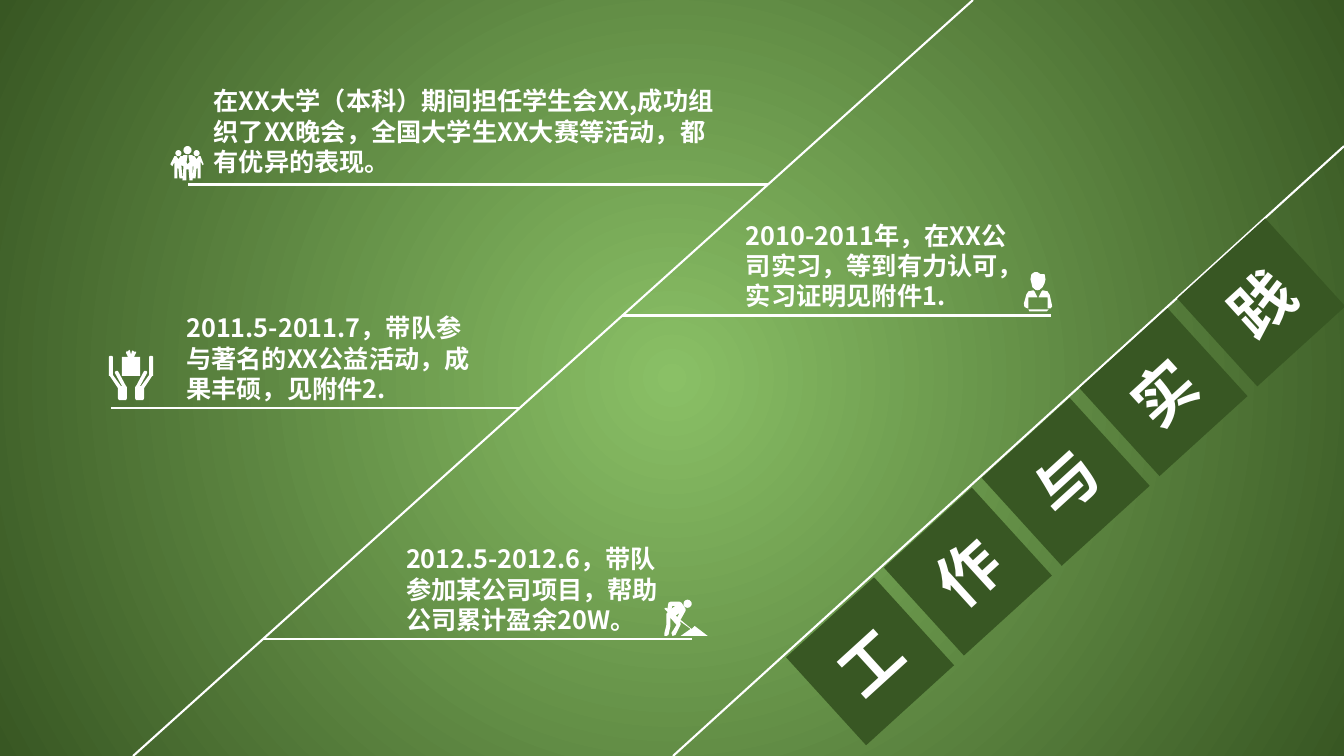
import math
import pptx
import pptx.util
import pptx.dml.color
import pptx.enum.shapes
import pptx.enum.text
import pptx.oxml.ns
from lxml import etree

W, H = 13.33, 7.5
FONT = "Noto Sans CJK SC"
WHITE, LEAF, FOREST = "FFFFFF", "8AC066", "385723"
AXIS_FOOT, AXIS_TOP = 1.32, 9.65
UNIT = 0.01
FINE = 10


def inch(value):
    return pptx.util.Inches(value)


def color(value):
    return pptx.dml.color.RGBColor.from_string(value)


def points(text):
    return [tuple(float(n) for n in pair.split(",")) for pair in text.split()]


def circle(cx, cy, r, steps=24):
    angles = [2 * math.pi * i / steps for i in range(steps)]
    return [(cx + r * math.cos(a), cy + r * math.sin(a)) for a in angles]


PEOPLE = [
    circle(17, 4, 4), circle(26, 7, 3), circle(8, 7, 3),
    points("11,19 11,20 12,32 9,32 8,22 7,22 7,32 4,32 4,16 2,20 0,18 4,10 6,10 8,13 "
           "10,10 12,10 13,9 17,9 17,10 16,16 17,18 19,16 18,10 18,9 22,9 22,10 24,10 "
           "26,13 28,10 30,10 33,18 32,19 30,15 30,32 27,32 27,22 26,22 25,32 22,32 "
           "23,20 22,20 22,34 19,34 18,23 16,23 16,34 12,34 13,20"),
]
INTERN = [
    points("8,13 7,9 8,4 11,2 14,2 17,4 21,4 22,9 21,13 19,17 16,19.5 14,20 12,19.5 9,17"),
    points("5,39 25,39 23,41 6,41"),
    points("26,24 28,33 28.5,36 27,38 24,38 24,27 15,27 18,21 19,20 24,21 25,23"),
    points("5,38 4,38 1,36.5 0.5,33 3,24 5,21 10,20 11,21 14,27 5,27"),
]
HAND = points("17,36 9,21 7,21 6,22 6,23 13,36 12,36 4,25 4,7 3,6 1,6 0,7 0,26 1,26 "
              "9,38 9,48 10,50 17,50 18,48 18,37")
GIFT = [
    points("25,7 27,3 27,2 25,2 24,5 25,2 24,1 23,1 22,5 21,1 20,0 19,2 20,4 19,2 18,1 "
           "17,3 19,7 13,7 13,26 31,26 31,7"),
    HAND,
    [(44 - x, y) for x, y in HAND],
]
DIGGER = [
    circle(24, 4, 4),
    points("7,2 5,3 4,9 3,8 2,8 1,9 2,10 3,11 4,12 4,13 3,14 3,25 1,33 1,36 3,36 5,35 "
           "7,26 7,18 13,25 8,33 9,36 12,35 17,25 17,23 16,21 27,29 17,36 44,36 31,26 "
           "28,29 17,20 22,11 22,9 18,3 16,2"),
    points("9,6 12,6 8,9"),
    points("16,13 14,17 12,16"),
]

ENTRIES = [
    (PEOPLE, (1.69, 1.45), (2.02, 0.8, 5.21), 1.86, 1.83,
     "在XX大学（本科）期间担任学生会XX,成功组织了XX晚会，全国大学生XX大赛等活动，都有优异的表现。"),
    (INTERN, (10.15, 2.68), (7.3, 2.13, 2.9), 10.42, 3.13,
     "2010-2011年，在XX公司实习，等到有力认可，实习证明见附件1."),
    (GIFT, (1.08, 3.47), (1.75, 3.05, 3.16), 1.1, 4.05,
     "2011.5-2011.7，带队参与著名的XX公益活动，成果丰硕，见附件2."),
    (DIGGER, (6.58, 5.95), (3.93, 5.34, 2.74), 6.86, 6.34,
     "2012.5-2012.6，带队参加某公司项目，帮助公司累计盈余20W。"),
]


def paint_background(s):
    fill = s.background.fill
    fill.gradient()
    for stop, position, value in zip(fill.gradient_stops, (0, 1), (LEAF, FOREST)):
        stop.position = position
        stop.color.rgb = color(value)
    qn = pptx.oxml.ns.qn
    grad = s.element.find(".//" + qn("a:gradFill"))
    grad.remove(grad.find(qn("a:lin")))
    shade = etree.SubElement(grad, qn("a:path"), path="circle")
    etree.SubElement(shade, qn("a:fillToRect"), l="50000", t="50000", r="50000", b="50000")


def add_line(s, x1, y1, x2, y2):
    line = s.shapes.add_connector(pptx.enum.shapes.MSO_CONNECTOR.STRAIGHT,
                                  inch(x1), inch(y1), inch(x2), inch(y2))
    line.line.color.rgb = color(WHITE)
    line.line.width = pptx.util.Pt(1.5)
    qn = pptx.oxml.ns.qn
    etree.SubElement(line.element.find(qn("p:spPr")), qn("a:effectLst"))


def write(sp, text, size):
    tf = sp.text_frame
    tf.word_wrap = True
    p = tf.paragraphs[0]
    p.text = text
    p.font.size = pptx.util.Pt(size)
    p.font.bold = True
    p.font.color.rgb = color(WHITE)
    p.font.name = FONT
    qn = pptx.oxml.ns.qn
    latin = p.font._element.find(qn("a:latin"))
    latin.addnext(latin.makeelement(qn("a:ea"), typeface=FONT))
    return p


def add_icon(s, contours, left, top):
    scaled = [[(x * FINE, y * FINE) for x, y in contour] for contour in contours]
    builder = s.shapes.build_freeform(*scaled[0][0], scale=inch(UNIT) / FINE)
    builder.add_line_segments(scaled[0][1:], close=True)
    for contour in scaled[1:]:
        builder.move_to(*contour[0])
        builder.add_line_segments(contour[1:], close=True)
    sp = builder.convert_to_shape(inch(left), inch(top))
    sp.shadow.inherit = False
    sp.fill.solid()
    sp.fill.fore_color.rgb = color(WHITE)
    sp.line.fill.background()


def add_entry(s, icon, icon_at, text_box, rule_end, rule_y, text):
    axis_x = AXIS_FOOT + (AXIS_TOP - AXIS_FOOT) * (1 - rule_y / H)
    add_line(s, axis_x, rule_y, rule_end, rule_y)
    add_icon(s, icon, *icon_at)
    left, top, width = text_box
    sp = s.shapes.add_textbox(inch(left), inch(top), inch(width), inch(1.01))
    p = write(sp, text, 18)
    p.line_spacing = pptx.util.Pt(21.7)
    sp.text_frame.auto_size = pptx.enum.text.MSO_AUTO_SIZE.SHAPE_TO_FIT_TEXT


def add_heading(s, left, top, side, step_x, step_y, text):
    add_line(s, W / 2 + 0.01, H, W, 1.45)
    for i, letter in enumerate(text):
        sp = s.shapes.add_shape(pptx.enum.shapes.MSO_SHAPE.RECTANGLE,
                                inch(left + i * step_x), inch(top - i * step_y),
                                inch(side), inch(side))
        sp.rotation = 317.7
        sp.shadow.inherit = False
        sp.fill.solid()
        sp.fill.fore_color.rgb = color(FOREST)
        sp.line.fill.background()
        p = write(sp, letter, 44)
        p.alignment = pptx.enum.text.PP_ALIGN.CENTER
        sp.text_frame.vertical_anchor = pptx.enum.text.MSO_ANCHOR.MIDDLE


def main():
    prs = pptx.Presentation()
    prs.slide_width, prs.slide_height = inch(W), inch(H)
    s = prs.slides.add_slide(prs.slide_layouts[6])
    paint_background(s)
    add_heading(s, 8.04, 5.97, 1.18, 0.97, 0.89, "工作与实践")
    add_line(s, AXIS_FOOT, H, AXIS_TOP, 0)
    for entry in ENTRIES:
        add_entry(s, *entry)
    prs.save("out.pptx")


if __name__ == "__main__":
    main()
